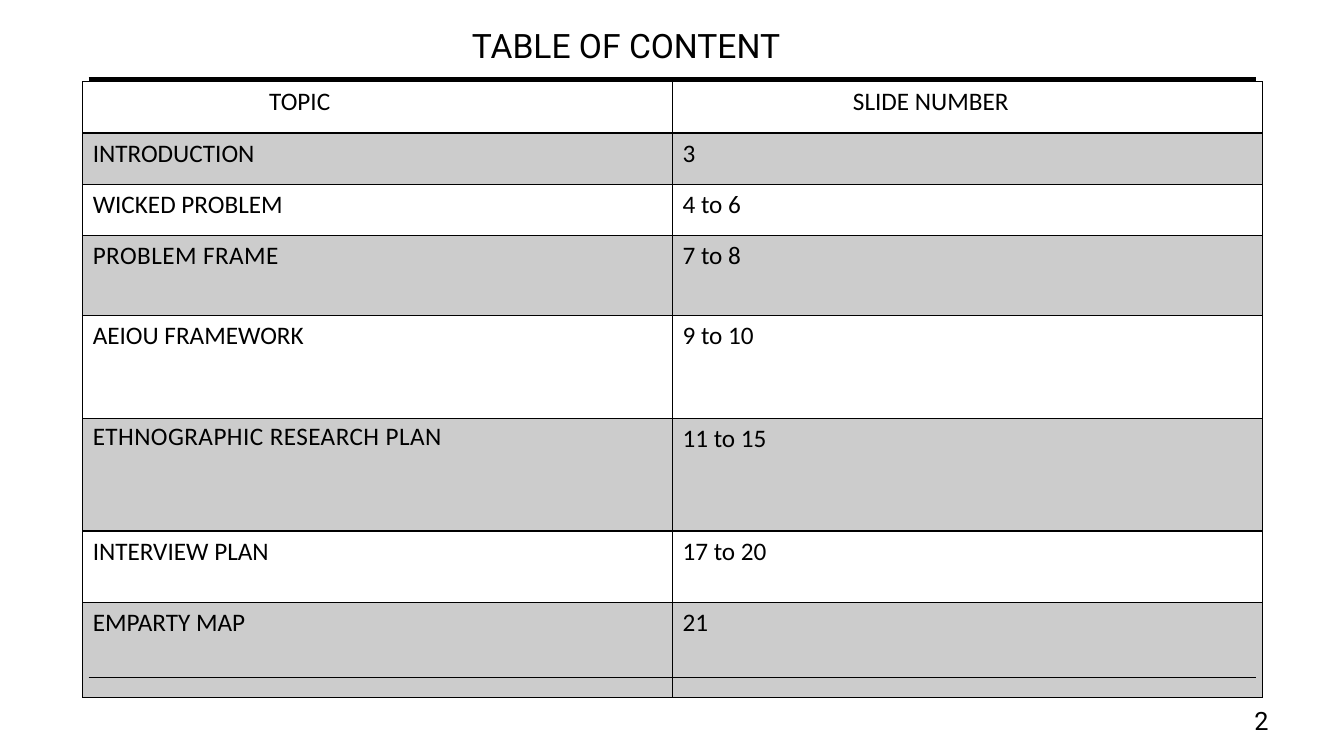
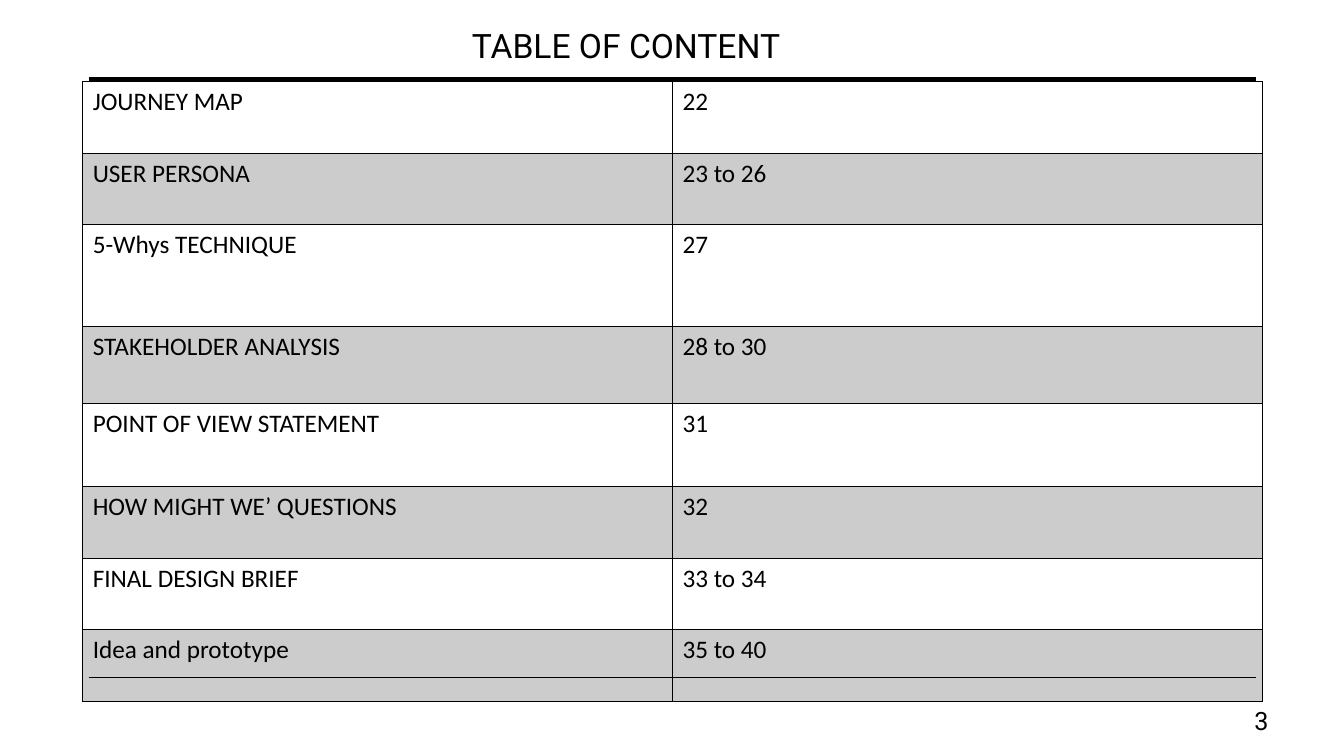
"""Build two table-of-contents slides."""
import pptx
import pptx.dml.color
import pptx.enum.text
import pptx.oxml
import pptx.oxml.ns
import pptx.util

Inches = pptx.util.Inches
Pt = pptx.util.Pt
ALIGN = pptx.enum.text.PP_ALIGN
ANCHOR = pptx.enum.text.MSO_ANCHOR
AUTO_SIZE = pptx.enum.text.MSO_AUTO_SIZE

COLOURS = {"ink": "000000"}
BAND_OPACITY = 20
FONTS = {
    "title": {"name": "Roboto", "size": Pt(24), "bold": False},
    "number": {"name": "Roboto", "size": Pt(18), "bold": False},
    "cell": {"name": "Calibri", "size": Pt(18), "bold": False},
}
RULES = [(0.79, 3.5), (6.72, 1)]
RULE_LEFT, RULE_RIGHT = 0.88, 12.46
TABLE_LEFT, TABLE_TOP, COLUMN_WIDTH = 0.82, 0.81, 5.85
HEADING_MARGINS = (1.85, 1.79)
TITLE = "TABLE OF CONTENT"

PAGES = [
    {
        "number": 2,
        "heading": True,
        "rows": [
            ("TOPIC", "SLIDE NUMBER", 0.51),
            ("INTRODUCTION", "3", 0.51),
            ("WICKED PROBLEM", "4 to 6", 0.51),
            ("PROBLEM FRAME", "7 to 8", 0.79),
            ("AEIOU FRAMEWORK", "9 to 10", 1.02),
            ("ETHNOGRAPHIC RESEARCH PLAN", "11 to 15", 1.12),
            ("INTERVIEW PLAN", "17 to 20", 0.71),
            ("EMPARTY MAP", "21", 0.94),
        ],
    },
    {
        "number": 3,
        "heading": False,
        "rows": [
            ("JOURNEY MAP", "22", 0.71),
            ("USER PERSONA", "23 to 26", 0.71),
            ("5-Whys TECHNIQUE", "27", 1.01),
            ("STAKEHOLDER ANALYSIS", "28 to 30", 0.76),
            ("POINT OF VIEW STATEMENT", "31", 0.83),
            ("HOW MIGHT WE’ QUESTIONS", "32", 0.71),
            ("FINAL DESIGN BRIEF", "33 to 34", 0.71),
            ("Idea and prototype", "35 to 40", 0.71),
        ],
    },
]
SPACED_TOPICS = {"PROBLEM FRAME": 1.0, "ETHNOGRAPHIC RESEARCH PLAN": 0.9}


def ink():
    """Return the colour of text, lines and bands."""
    return pptx.dml.color.RGBColor.from_string(COLOURS["ink"])


def apply(target, values):
    """Set each named attribute on the target."""
    for name, value in values.items():
        setattr(target, name, value)


def write(frame, text, style, **para_format):
    """Put one formatted line into a text frame and return its run."""
    para = frame.paragraphs[0]
    apply(para, para_format)
    span = para.add_run()
    span.text = text
    apply(span.font, FONTS[style])
    span.font.color.rgb = ink()
    return span


def add_rule(page, top, weight):
    """Draw one horizontal rule across the page."""
    rule = page.shapes.add_connector(
        pptx.enum.shapes.MSO_CONNECTOR.STRAIGHT,
        Inches(RULE_LEFT), Inches(top), Inches(RULE_RIGHT), Inches(top))
    rule.line.color.rgb = ink()
    rule.line.width = Pt(weight)
    pptx.oxml.ns.qn("a:effectLst")
    rule._element.spPr.append(pptx.oxml.parse_xml(
        f'<a:effectLst {pptx.oxml.ns.nsdecls("a")}/>'))


def add_borders(cell):
    """Give a cell a one-point border on every side."""
    properties = cell._tc.get_or_add_tcPr()
    for side in "LRTB":
        properties.append(pptx.oxml.parse_xml(
            f'<a:ln{side} {pptx.oxml.ns.nsdecls("a")} w="{Pt(1)}"><a:solidFill>'
            f'<a:srgbClr val="{COLOURS["ink"]}"/></a:solidFill></a:ln{side}>'))


def fill_cell(cell, banded):
    """Fill a cell with a translucent band or leave it clear."""
    if not banded:
        cell.fill.background()
        return
    cell.fill.solid()
    cell.fill.fore_color.rgb = ink()
    colour = cell._tc.tcPr.find(".//" + pptx.oxml.ns.qn("a:solidFill") + "[last()]")
    colour = cell._tc.tcPr.findall(pptx.oxml.ns.qn("a:solidFill"))[0][0]
    colour.append(pptx.oxml.parse_xml(
        f'<a:alpha {pptx.oxml.ns.nsdecls("a")} val="{BAND_OPACITY * 1000}"/>'))


def add_contents(page, rows, heading):
    """Add the two-column table of topics and slide numbers."""
    height = sum(row[-1] for row in rows)
    table = page.shapes.add_table(
        len(rows), 2, Inches(TABLE_LEFT), Inches(TABLE_TOP),
        Inches(2 * COLUMN_WIDTH), Inches(height)).table
    apply(table, {"first_row": False, "horz_banding": False})
    for column in table.columns:
        column.width = Inches(COLUMN_WIDTH)
    for index, (*texts, row_height) in enumerate(rows):
        table.rows[index].height = Inches(row_height)
        for position, text in enumerate(texts):
            cell = table.cell(index, position)
            add_borders(cell)
            fill_cell(cell, index % 2 == 1)
            if heading and index == 0:
                cell.margin_left = Inches(HEADING_MARGINS[position])
            span = write(cell.text_frame, text, "cell",
                         line_spacing=SPACED_TOPICS.get(text, 1.0))
            if text in SPACED_TOPICS:
                span.font._element.set("spc", "30")


def add_title(page):
    """Place and format the title placeholder."""
    title = page.shapes.title
    apply(title, {"left": Inches(4.58), "top": Inches(0.2),
                  "width": Inches(3.7), "height": Inches(0.5)})
    apply(title.text_frame, {"word_wrap": False, "vertical_anchor": ANCHOR.TOP,
                             "auto_size": AUTO_SIZE.SHAPE_TO_FIT_TEXT})
    write(title.text_frame, TITLE, "title", alignment=ALIGN.LEFT)


def add_page_number(page, number):
    """Write the page number at the lower right."""
    box = page.shapes.add_textbox(
        Inches(11.94), Inches(6.95), Inches(0.74), Inches(0.4))
    apply(box.text_frame, {"word_wrap": True, "vertical_anchor": ANCHOR.MIDDLE})
    write(box.text_frame, str(number), "number", alignment=ALIGN.RIGHT)


def main():
    """Build and save the deck."""
    deck = pptx.Presentation()
    apply(deck, {"slide_width": Inches(13.33), "slide_height": Inches(7.5)})
    for content in PAGES:
        page = deck.slides.add_slide(deck.slide_layouts[5])
        for top, weight in RULES:
            add_rule(page, top, weight)
        add_contents(page, content["rows"], content["heading"])
        add_page_number(page, content["number"])
        add_title(page)
    deck.save("out.pptx")


if __name__ == "__main__":
    main()
